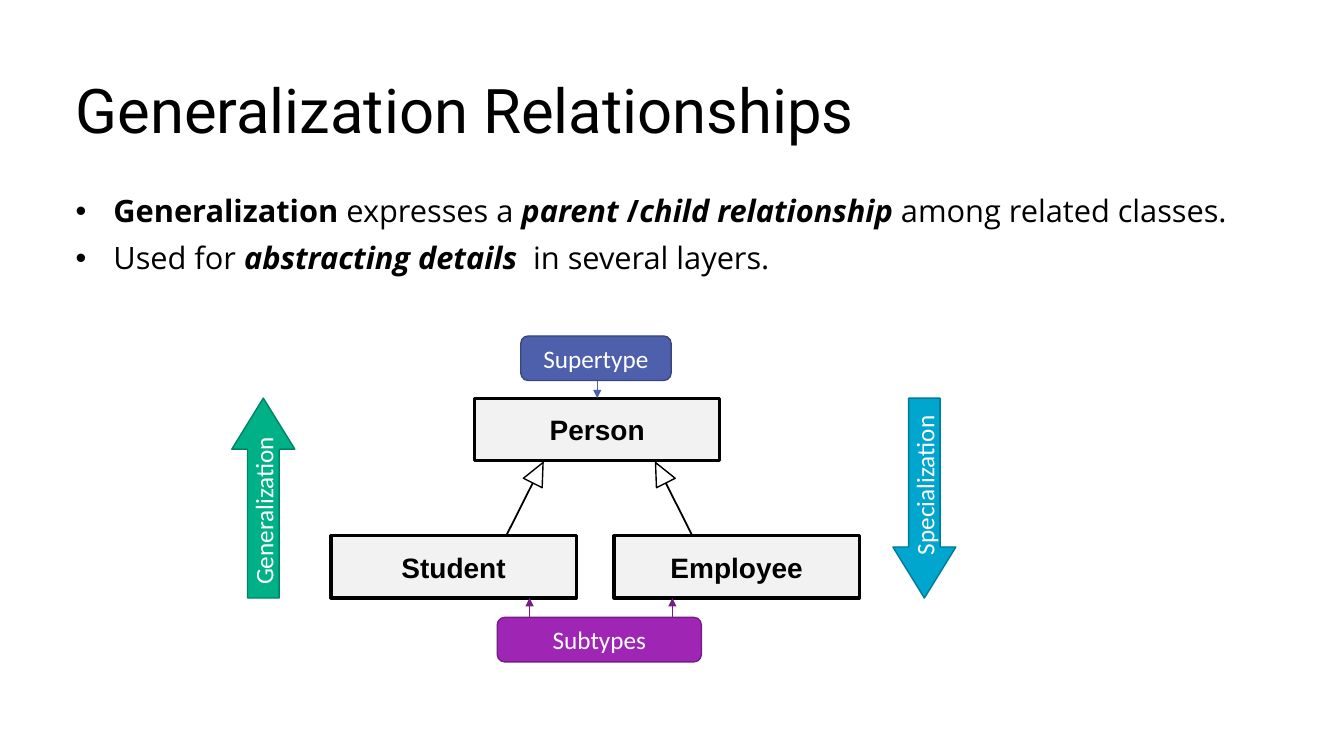
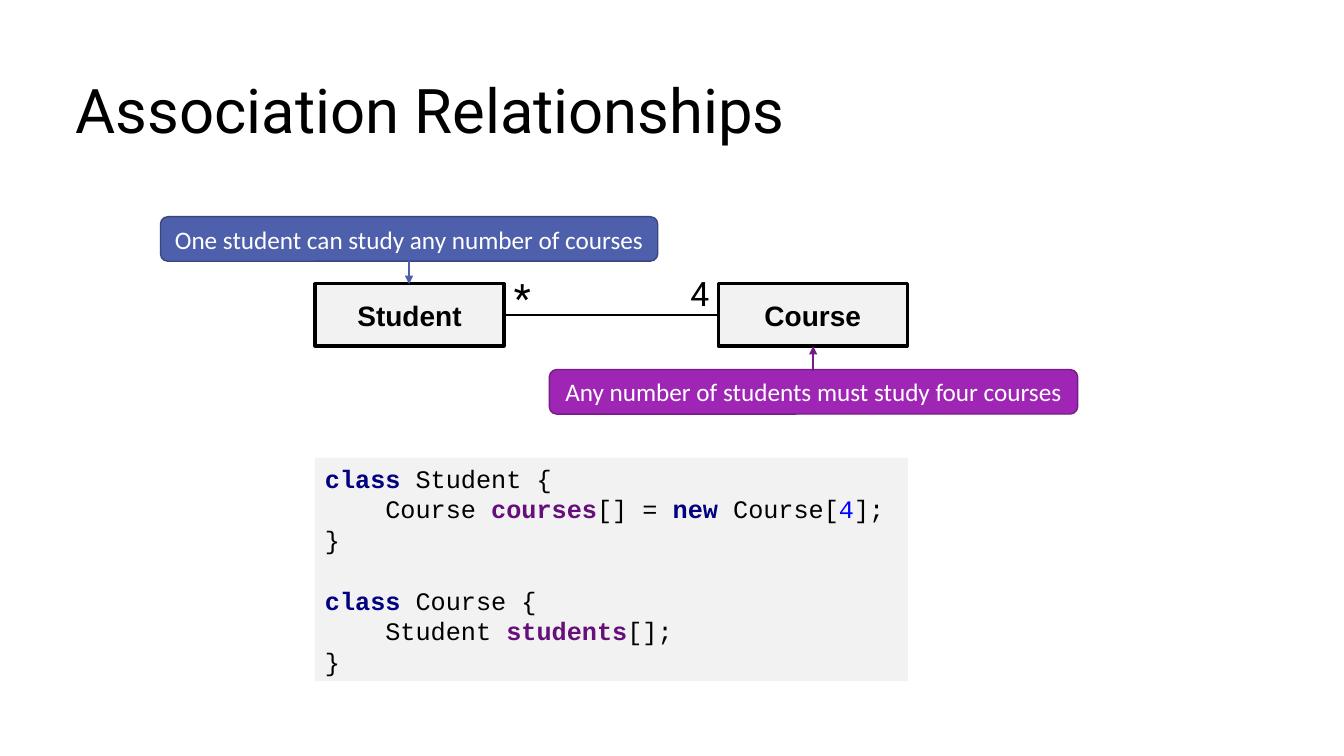
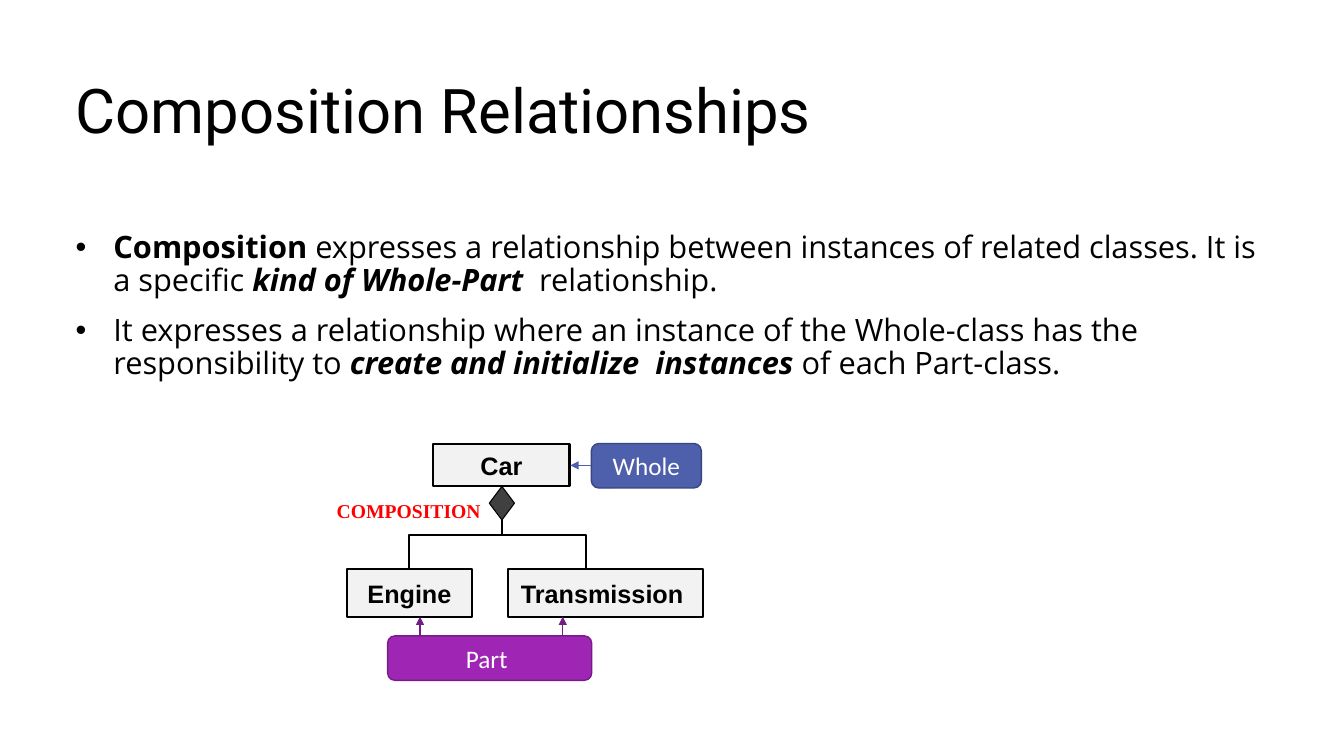
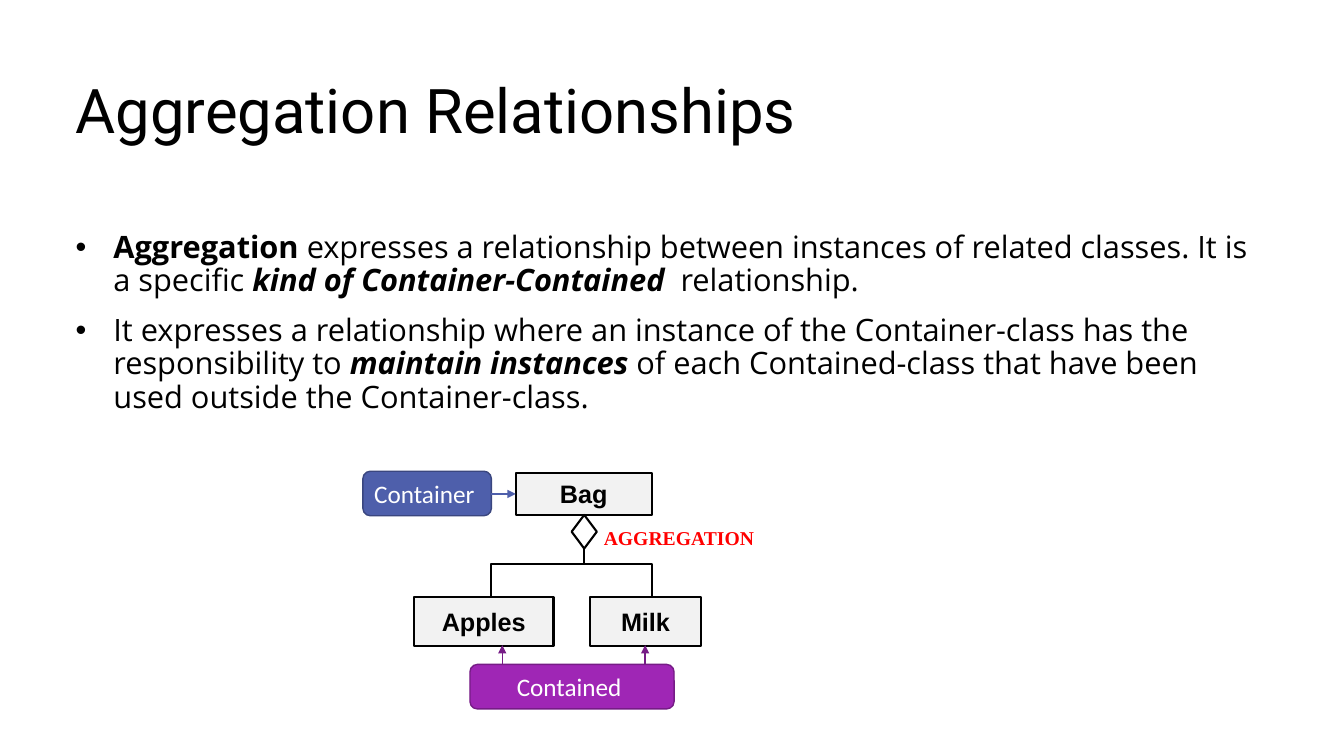
import pptx
import pptx.util
import pptx.dml.color
import pptx.enum.shapes
import pptx.enum.text
import pptx.oxml.ns
import lxml.etree

KIND = pptx.enum.shapes.MSO_SHAPE
ANCHOR = pptx.enum.text.MSO_ANCHOR
ALIGN = pptx.enum.text.PP_ALIGN
SIZE = pptx.enum.text.MSO_AUTO_SIZE

COLS, ROWS = 160, 90
WIDE, HIGH = pptx.util.Inches(40 / 3), pptx.util.Inches(7.5)

BLACK, WHITE, GREY, RED = "000000", "FFFFFF", "F2F2F2", "FF0000"
BLUE, PLUM = ("4E5FAB", "3A467F"), ("9F26B5", "761C86")
GREEN, TEAL = ("00B188", "008365"), ("00A6CE", "007B98")
PILL = 5.3

STYLES = {
    "": (BLACK, False, False),
    "b": (BLACK, True, False),
    "bi": (BLACK, True, True),
    "light": (WHITE, False, False),
    "tag": (RED, True, False),
    "word": ("000080", True, False),
    "field": ("660E7A", True, False),
    "digit": ("0000FF", False, False),
}


def paint(code):
    return pptx.dml.color.RGBColor.from_string(code)


def col(n):
    return round(WIDE * n / COLS)


def row(n):
    return round(HIGH * n / ROWS)


def area(x, y, w, h):
    return col(x), row(y), col(w), row(h)


def place(shape, x, y, w, h):
    shape.left, shape.top, shape.width, shape.height = area(x, y, w, h)


def write(par, parts, font, size):
    for text, style in parts:
        run = par.add_run()
        run.text = text
        tint, bold, slant = STYLES[style]
        run.font.name = font
        run.font.size = pptx.util.Pt(size)
        run.font.bold = bold
        run.font.italic = slant
        run.font.color.rgb = paint(tint)


def trim(shape, fill, edge, width):
    shape.shadow.inherit = False
    if fill:
        shape.fill.solid()
        shape.fill.fore_color.rgb = paint(fill)
    else:
        shape.fill.background()
    if edge:
        shape.line.color.rgb = paint(edge)
        shape.line.width = pptx.util.Pt(width)
    else:
        shape.line.fill.background()


def draw(slide, kind, box, fill, edge=None, width=1):
    shape = slide.shapes.add_shape(kind, *area(*box))
    trim(shape, fill, edge, width)
    return shape


def label(shape, text, style, font, size):
    frame = shape.text_frame
    frame.word_wrap = False
    frame.vertical_anchor = ANCHOR.MIDDLE
    par = frame.paragraphs[0]
    par.alignment = ALIGN.CENTER
    write(par, [(text, style)], font, size)


def note(slide, box, text, style, font, size):
    frame = slide.shapes.add_textbox(*area(*box)).text_frame
    frame.word_wrap = False
    write(frame.paragraphs[0], [(text, style)], font, size)


def block(slide, box, text, size=20, width=2.25):
    shape = draw(slide, KIND.RECTANGLE, box, GREY, BLACK, width)
    label(shape, text, "b", "Arial", size)


def pill(slide, x, y, w, text, tone):
    shape = draw(slide, KIND.ROUNDED_RECTANGLE, (x, y, w, PILL), *tone)
    label(shape, text, "light", "Calibri", 18)


def link(slide, x1, y1, x2, y2, tint=BLACK, width=1.5, head=False):
    line = slide.shapes.add_connector(
        pptx.enum.shapes.MSO_CONNECTOR.STRAIGHT, col(x1), row(y1), col(x2), row(y2))
    line.line.color.rgb = paint(tint)
    line.line.width = pptx.util.Pt(width)
    qn = pptx.oxml.ns.qn
    props = line._element.spPr
    if head:
        lxml.etree.SubElement(props.find(qn("a:ln")), qn("a:tailEnd"), type="triangle")
    lxml.etree.SubElement(props, qn("a:effectLst"))


def point(slide, x1, y1, x2, y2, tint):
    link(slide, x1, y1, x2, y2, tint, 1, True)


def twin(slide, x, y, text):
    pill(slide, x, y, 24.3, text, PLUM)
    for step in (3.85, 20.85):
        point(slide, x + step, y, x + step, y - 2.3, PLUM[1])


def pole(slide, kind, x, text, tone):
    shape = draw(slide, kind, (x, 47.4, 7.5, 23.8), *tone)
    shape.adjustments[0], shape.adjustments[1] = 0.5, 0.81
    label(shape, text, "light", "Calibri", 18)
    shape.text_frame._txBody.bodyPr.set("vert", "vert270")


def barb(slide, x, turn):
    shape = draw(slide, KIND.RIGHT_ARROW, (x, 58.1, 9.6, 2.5), WHITE, BLACK)
    shape.adjustments[0], shape.adjustments[1] = 0.02, 1.09
    shape.rotation = turn


def start(deck, title, items=(), top=27, before=0, after=0):
    slide = deck.slides.add_slide(deck.slide_layouts[1 if items else 5])
    holders = [(slide.shapes.title, (9, 9, 142, 9))]
    if items:
        holders.append((slide.placeholders[1], (9, top, 142, 72 - top)))
    for shape, box in holders:
        place(shape, *box)
        frame = shape.text_frame
        frame.margin_left = 0
        frame.word_wrap = True
        frame.auto_size = SIZE.NONE
        frame.vertical_anchor = ANCHOR.TOP
    par = slide.shapes.title.text_frame.paragraphs[0]
    par.alignment = ALIGN.LEFT
    par.line_spacing = 0.9
    write(par, [(title, "")], "Roboto", 44)
    for i, parts in enumerate(items):
        frame = slide.placeholders[1].text_frame
        par = frame.add_paragraph() if i else frame.paragraphs[0]
        par.line_spacing = 0.9
        par.space_before = pptx.util.Pt(before)
        par.space_after = pptx.util.Pt(after)
        write(par, parts, "Open Sans", 22)
    return slide


def code(slide, box, lines):
    shape = draw(slide, KIND.RECTANGLE, box, GREY)
    frame = shape.text_frame
    frame.word_wrap = True
    frame.vertical_anchor = ANCHOR.MIDDLE
    for i, (depth, gap, parts) in enumerate(lines):
        par = frame.add_paragraph() if i else frame.paragraphs[0]
        par.alignment = ALIGN.LEFT
        par.line_spacing = pptx.util.Pt(21.8)
        par.space_before = pptx.util.Pt(21.8 * gap)
        par._p.get_or_add_pPr().set("marL", str(pptx.util.Inches(0.6 * depth)))
        write(par, parts, "Courier New", 18)


def tree(slide, x, y, root, kids, end, gem, width, base):
    block(slide, (x, y, 16.2, 5), root, 18, 1.5)
    for left, span, text in kids:
        block(slide, (left, y + 14.8, span, 5.8), text, 18, 1.5)
    left, top, foot = x - 2.9, y + 10.8, y + 14.8
    pen = slide.shapes.build_freeform(col(left), row(foot))
    pen.add_line_segments(
        [(col(left), row(top)), (col(end), row(top)), (col(end), row(foot))], close=False)
    trim(pen.convert_to_shape(), None, BLACK, 1.5)
    link(slide, x + 8.15, y + 8.5, x + 8.15, top)
    draw(slide, KIND.DIAMOND, (x + 6.65, y + 5, 3, 4), gem, BLACK, width)
    twin(slide, x - 5.45, y + 22.8, base)


def parent(deck):
    slide = start(deck, "Generalization Relationships", [
        [("Generalization", "b"), (" expresses a ", ""), ("parent ", "bi"), ("/", "b"),
         ("child relationship", "bi"), (" among related classes.", "")],
        [("Used for ", ""), ("abstracting details ", "bi"), (" in several layers.", "")],
    ], top=22.7, before=10)
    for x, y, text in ((56.5, 47.4, "Person"), (39.4, 63.8, "Student"),
                       (73.1, 63.8, "Employee")):
        block(slide, (x, y, 29.2, 7.4), text)
    barb(slide, 57.7, 296.7)
    barb(slide, 75.4, 243.3)
    pole(slide, KIND.UP_ARROW, 27.6, "Generalization", GREEN)
    pole(slide, KIND.DOWN_ARROW, 106.3, "Specialization", TEAL)
    pill(slide, 62, 40, 17.9, "Supertype", BLUE)
    point(slide, 71.1, 45.3, 71.1, 47.4, BLUE[0])
    twin(slide, 59.2, 73.5, "Subtypes")


def peer(deck):
    slide = start(deck, "Association Relationships")
    note(slide, (60, 31.9, 5, 6.8), "*", "", "Roboto", 28)
    note(slide, (81, 31.9, 4.7, 6), "4", "", "Roboto", 24)
    link(slide, 60, 37.5, 85.5, 37.5)
    for x, text in ((37.5, "Student"), (85.5, "Course")):
        block(slide, (x, 33.8, 22.5, 7.4), text)
    code(slide, (37.5, 54.5, 70.6, 26.6), [
        (0, 0, [("class ", "word"), ("Student {", "")]),
        (1, 0, [("Course ", ""), ("courses", "field"), ("[] = ", ""), ("new ", "word"),
                ("Course[", ""), ("4", "digit"), ("];", "")]),
        (0, 0, [("}", "")]),
        (0, 1, [("class ", "word"), ("Course {", "")]),
        (1, 0, [("Student ", ""), ("students", "field"), ("[];", "")]),
        (0, 0, [("}", "")]),
    ])
    pill(slide, 19.1, 25.8, 59.2, "One student can study any number of courses", BLUE)
    point(slide, 48.7, 31.1, 48.7, 33.8, BLUE[0])
    pill(slide, 65.4, 44, 62.9, "Any number of students must study four courses", PLUM)
    point(slide, 96.8, 44.2, 96.8, 41.2, PLUM[1])


def whole(deck):
    slide = start(deck, "Composition Relationships", [
        [("Composition ", "b"),
         ("expresses a relationship between instances of related classes. "
          "It is a specific ", ""),
         ("kind of Whole-Part  ", "bi"), ("relationship.", "")],
        [("It expresses a relationship where an instance of the Whole-class "
          "has the responsibility to ", ""),
         ("create and initialize  instances ", "bi"), ("of each Part-class.", "")],
    ], before=12)
    tree(slide, 51.6, 52.9, "Car",
         [(41.3, 14.9, "Engine"), (60.5, 23.2, "Transmission ")],
         69.8, "404040", 0.75, "Part ")
    pill(slide, 70.4, 52.8, 13.1, "Whole", BLUE)
    point(slide, 70.4, 55.4, 67.9, 55.4, BLUE[0])
    note(slide, (38.9, 58.8, 19.7, 4.1), "COMPOSITION", "tag", "Times New Roman", 14)


def holder(deck):
    slide = start(deck, "Aggregation Relationships", [
        [("Aggregation ", "b"),
         ("expresses a relationship between instances of related classes. "
          "It is a specific ", ""),
         ("kind of Container-Contained ", "bi"), (" relationship.", "")],
        [("It expresses a relationship where an instance of the Container-class "
          "has the responsibility to ", ""),
         ("maintain instances ", "bi"),
         ("of each Contained-class that have been used outside the Container-class.", "")],
    ], after=12)
    tree(slide, 61.4, 56.3, "Bag",
         [(49.3, 16.6, "Apples"), (70.2, 13.3, "Milk")],
         77.6, WHITE, 1.5, "Contained ")
    pill(slide, 43.2, 56.1, 15.3, "Container ", BLUE)
    point(slide, 58.5, 58.8, 61.4, 58.8, BLUE[0])
    note(slide, (70.7, 62, 20.5, 4.1), "AGGREGATION", "tag", "Times New Roman", 14)


def main():
    deck = pptx.Presentation()
    deck.slide_width, deck.slide_height = WIDE, HIGH
    for build in (parent, peer, whole, holder):
        build(deck)
    deck.save("out.pptx")


if __name__ == "__main__":
    main()
